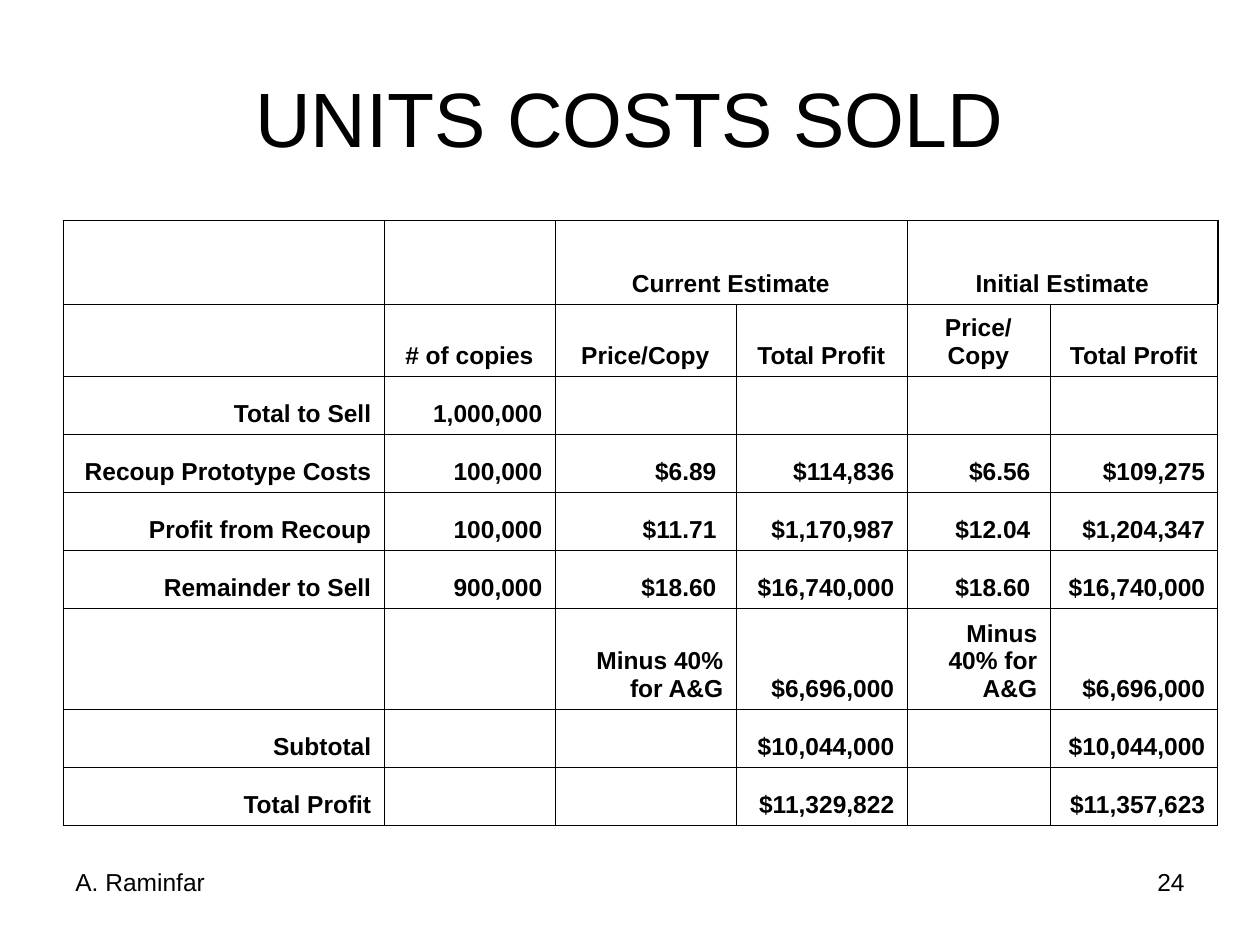
import pptx
import pptx.dml.color
import pptx.enum.text
import pptx.oxml.ns
import pptx.util
import lxml.etree

PX = 914400 // 126
BLACK = "000000"
ALIGN = pptx.enum.text.PP_ALIGN
ANCHOR = pptx.enum.text.MSO_ANCHOR


def format_text(tf, size, align, bold=False):
    for p in tf.paragraphs:
        p.alignment = align
        for r in p.runs:
            r.font.name = "Arial"
            r.font.size = pptx.util.Pt(size)
            r.font.bold = bold
            r.font.color.rgb = pptx.dml.color.RGBColor.from_string(BLACK)


def add_border(cell, side, width):
    qn = pptx.oxml.ns.qn
    ln = lxml.etree.SubElement(cell._tc.get_or_add_tcPr(), qn("a:ln" + side))
    ln.set("w", str(pptx.util.Pt(width)))
    fill = lxml.etree.SubElement(ln, qn("a:solidFill"))
    lxml.etree.SubElement(fill, qn("a:srgbClr")).set("val", BLACK)


prs = pptx.Presentation()
prs.slide_width = pptx.util.Inches(10)
prs.slide_height = pptx.util.Inches(7.5)
s = prs.slides.add_slide(prs.slide_layouts[6])

boxes = [
    ("UNITS COSTS SOLD", 63, 38, 1134, 158, 44, ALIGN.CENTER, ANCHOR.MIDDLE),
    ("24", 903, 861, 294, 66, 14, ALIGN.RIGHT, ANCHOR.TOP),
    ("A. Raminfar", 63, 861, 294, 66, 14, ALIGN.LEFT, ANCHOR.TOP),
]
for text, x, y, w, h, size, align, anchor in boxes:
    tf = s.shapes.add_textbox(x * PX, y * PX, w * PX, h * PX).text_frame
    tf.word_wrap = True
    tf.vertical_anchor = anchor
    tf.text = text
    format_text(tf, size, align)

col_widths = [321, 171, 181, 171, 143, 168]
row_heights = [84, 72, 58, 58, 58, 58, 101, 58, 58]
rows = [
    ["", "", "Current Estimate", "", "Initial Estimate", ""],
    ["", "# of copies", "Price/Copy", "Total Profit", "Price/\nCopy", "Total Profit"],
    ["Total to Sell", "1,000,000", "", "", "", ""],
    ["Recoup Prototype Costs", "100,000", "$6.89 ", "$114,836", "$6.56 ", "$109,275"],
    ["Profit from Recoup", "100,000", "$11.71 ", "$1,170,987", "$12.04 ", "$1,204,347"],
    ["Remainder to Sell", "900,000", "$18.60 ", "$16,740,000", "$18.60 ", "$16,740,000"],
    ["", "", "Minus 40% for A&G", "$6,696,000", "Minus 40% for A&G", "$6,696,000"],
    ["Subtotal", "", "", "$10,044,000", "", "$10,044,000"],
    ["Total Profit", "", "", "$11,329,822", "", "$11,357,623"],
]
table = s.shapes.add_table(
    len(rows), len(col_widths), 63 * PX, 220 * PX,
    sum(col_widths) * PX, sum(row_heights) * PX).table
table.first_row = False
table.horz_banding = False
for column, width in zip(table.columns, col_widths):
    column.width = width * PX
for row, height in zip(table.rows, row_heights):
    row.height = height * PX
for c in (2, 4):
    table.cell(0, c).merge(table.cell(0, c + 1))

for i, row in enumerate(rows):
    for j, text in enumerate(row):
        cell = table.cell(i, j)
        cell.vertical_anchor = ANCHOR.BOTTOM
        for side in "LRTB":
            heavy = i == 0 and j >= 4 and side == "R"
            add_border(cell, side, 1.08 if heavy else 0.45)
        cell.fill.background()
        if text:
            cell.text_frame.text = text
            format_text(cell.text_frame, 14, ALIGN.CENTER if i < 2 else ALIGN.RIGHT, True)

prs.save("out.pptx")
